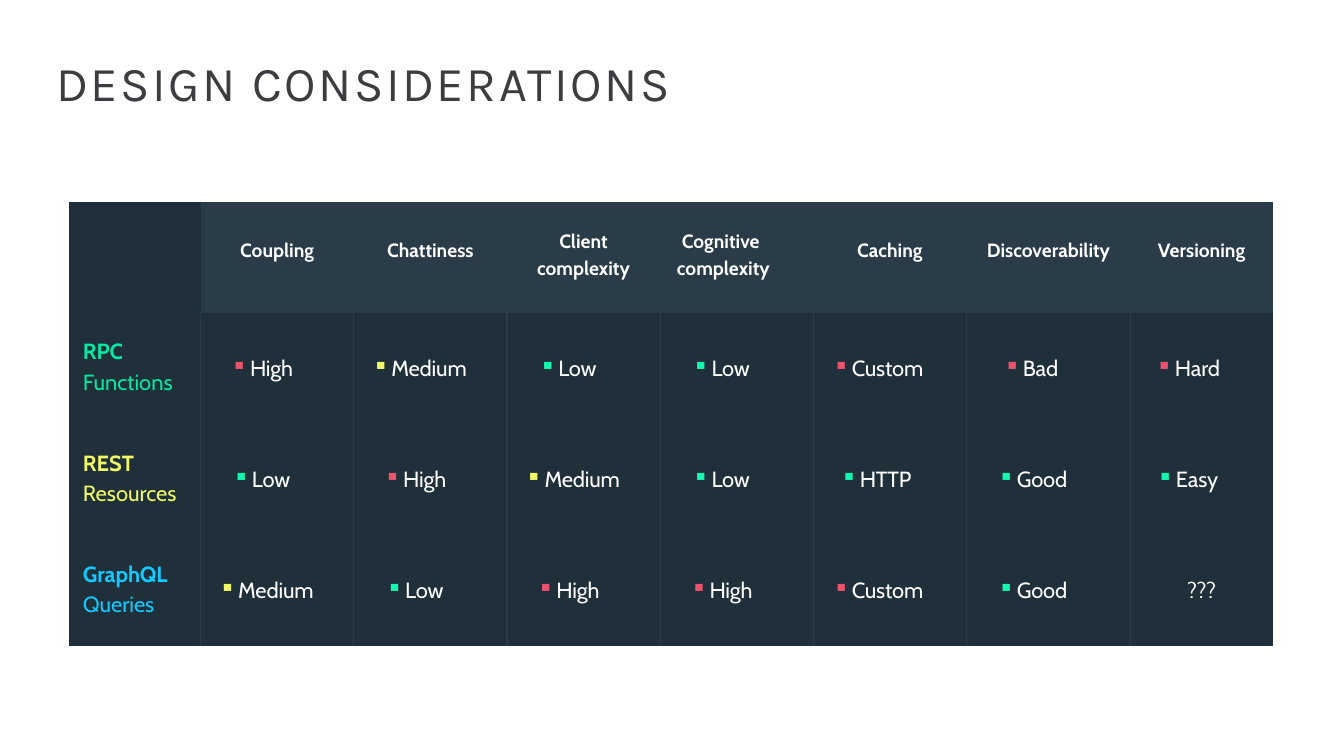
import pptx
import pptx.util
import pptx.dml.color
import pptx.enum.text
import pptx.oxml.ns
import lxml.etree

Inches = pptx.util.Inches
Pt = pptx.util.Pt
RGBColor = pptx.dml.color.RGBColor
CENTER = pptx.enum.text.PP_ALIGN.CENTER
LEFT = pptx.enum.text.PP_ALIGN.LEFT
MIDDLE = pptx.enum.text.MSO_ANCHOR.MIDDLE

WHITE = RGBColor(0xFF, 0xFF, 0xFF)
TITLE_GRAY = RGBColor(0x3C, 0x3C, 0x41)
HEADER_SLATE = RGBColor(0x29, 0x3C, 0x48)
BODY_SLATE = RGBColor(0x1F, 0x30, 0x3A)
GOOD_GREEN = RGBColor(0x12, 0xF8, 0xAF)
FAIR_YELLOW = RGBColor(0xF1, 0xF8, 0x68)
POOR_RED = RGBColor(0xEA, 0x52, 0x6E)
RPC_GREEN = RGBColor(0x05, 0xE8, 0xA1)
GRAPHQL_BLUE = RGBColor(0x12, 0xCA, 0xFF)

NO_STYLE = "{2D5ABB26-0587-4C30-8999-92F81FD0307C}"
COLUMN_WIDTHS = [1.33, 1.55, 1.55, 1.55, 1.55, 1.55, 1.66, 1.44]
HEADERS = [
    ["Coupling"], ["Chattiness"], ["Client", "complexity"], ["Cognitive", "complexity"],
    ["Caching"], ["Discoverability"], ["Versioning"],
]
COGNITIVE_INDENTS = [0.22, 0.17]
STYLES = [
    ("RPC", "Functions", RPC_GREEN,
     ["High", "Medium", "Low", "Low", "Custom", "Bad", "Hard"]),
    ("REST", "Resources", FAIR_YELLOW,
     ["Low", "High", "Medium", "Low", "HTTP", "Good", "Easy"]),
    ("GraphQL", "Queries", GRAPHQL_BLUE,
     ["Medium", "Low", "High", "High", "Custom", "Good", "???"]),
]
RATINGS = {
    "High": (POOR_RED, 0.5), "Medium": (FAIR_YELLOW, 0.38), "Low": (GOOD_GREEN, 0.52),
    "Custom": (POOR_RED, 0.39), "HTTP": (GOOD_GREEN, 0.47), "Bad": (POOR_RED, 0.57),
    "Good": (GOOD_GREEN, 0.51), "Hard": (POOR_RED, 0.45), "Easy": (GOOD_GREEN, 0.46),
}


def add_element(parent, tag, **attributes):
    element = lxml.etree.SubElement(parent, pptx.oxml.ns.qn(tag))
    for name, value in attributes.items():
        element.set(name, str(value))
    return element


def add_run(paragraph, text, size, color, font="Cabin", bold=False, spacing=0):
    run = paragraph.add_run()
    run.text = text
    run.font.size = Pt(size)
    run.font.name = font
    run.font.bold = bold
    run.font.color.rgb = color
    if spacing:
        run.font._element.set("spc", str(round(spacing * 100)))


def set_indent(paragraph, left, first=0):
    properties = paragraph._p.get_or_add_pPr()
    properties.set("marL", str(Inches(left)))
    properties.set("indent", str(Inches(first)))
    return properties


def add_bullet(paragraph, color, indent):
    properties = set_indent(paragraph, indent, -0.19)
    bullet_color = add_element(properties, "a:buClr")
    add_element(bullet_color, "a:srgbClr", val=color)
    add_element(properties, "a:buChar", char="▪")


def prepare_cell(cell, fill, left=0, bottom=0):
    cell.fill.solid()
    cell.fill.fore_color.rgb = fill
    cell.vertical_anchor = MIDDLE
    cell.margin_left = Inches(left)
    cell.margin_bottom = Inches(bottom)
    cell.margin_right = cell.margin_top = 0


def add_borders(cell, tags):
    properties = cell._tc.get_or_add_tcPr()
    for position, tag in enumerate(tags):
        line = add_element(properties, tag, w=Pt(1))
        add_element(add_element(line, "a:solidFill"), "a:srgbClr", val=HEADER_SLATE)
        properties.insert(position, line)


def write_lines(cell, lines, size, color, bolds, gap, alignment):
    for index, (text, bold) in enumerate(zip(lines, bolds)):
        frame = cell.text_frame
        paragraph = frame.add_paragraph() if index else frame.paragraphs[0]
        paragraph.alignment = alignment
        if index:
            paragraph.space_before = Pt(gap)
        add_run(paragraph, text, size, color, bold=bold)


def write_header(cell, lines):
    prepare_cell(cell, HEADER_SLATE, bottom=0.14 if len(lines) == 1 else 0.05)
    cognitive = lines[0] == "Cognitive"
    alignment = LEFT if cognitive else CENTER
    write_lines(cell, lines, 14, WHITE, [True] * len(lines), 2.5, alignment)
    if cognitive:
        for paragraph, indent in zip(cell.text_frame.paragraphs, COGNITIVE_INDENTS):
            set_indent(paragraph, indent)


def write_rating(cell, rating):
    prepare_cell(cell, BODY_SLATE)
    paragraph = cell.text_frame.paragraphs[0]
    if rating in RATINGS:
        add_bullet(paragraph, *RATINGS[rating])
    else:
        paragraph.alignment = CENTER
    add_run(paragraph, rating, 16, WHITE, spacing=-0.1)


def add_title(slide, left, top, width, height):
    box = slide.shapes.add_textbox(Inches(left), Inches(top), Inches(width), Inches(height))
    frame = box.text_frame
    frame.word_wrap = True
    frame.margin_left = Inches(0.02)
    frame.margin_top = Inches(0.04)
    frame.margin_right = frame.margin_bottom = 0
    paragraph = frame.paragraphs[0]
    add_run(paragraph, "DESIGN ", 35.4, TITLE_GRAY, "Karla", spacing=1.8)
    add_run(paragraph, "CONSIDERATIONS", 35.4, TITLE_GRAY, "Karla", spacing=1.9)


def add_comparison(slide, left, top, width, height):
    row_count = len(STYLES) + 1
    table = slide.shapes.add_table(
        row_count, len(COLUMN_WIDTHS),
        Inches(left), Inches(top), Inches(width), Inches(height)).table
    table.first_row = False
    table.horz_banding = False
    table._tbl.tblPr.find(pptx.oxml.ns.qn("a:tableStyleId")).text = NO_STYLE
    for column, column_width in zip(table.columns, COLUMN_WIDTHS):
        column.width = Inches(column_width)
    for row in table.rows:
        row.height = Inches(height / row_count)

    prepare_cell(table.cell(0, 0), BODY_SLATE)
    for column, lines in enumerate(HEADERS, 1):
        write_header(table.cell(0, column), lines)
    for row, (name, unit, color, ratings) in enumerate(STYLES, 1):
        label = table.cell(row, 0)
        prepare_cell(label, BODY_SLATE, left=0.14, bottom=0.02)
        write_lines(label, [name, unit], 16, color, [True, False], 2.9, LEFT)
        add_borders(label, ["a:lnR"])
        for column, rating in enumerate(ratings, 1):
            cell = table.cell(row, column)
            write_rating(cell, rating)
            add_borders(cell, ["a:lnL"] if column == len(ratings) else ["a:lnL", "a:lnR"])


def main():
    presentation = pptx.Presentation()
    presentation.slide_width = Inches(13.6)
    presentation.slide_height = Inches(7.65)
    slide = presentation.slides.add_slide(presentation.slide_layouts[6])
    add_comparison(slide, 0.7, 2.04, sum(COLUMN_WIDTHS), 4.5)
    add_title(slide, 0.55, 0.5, 6.58, 0.62)
    presentation.save("out.pptx")


if __name__ == "__main__":
    main()
